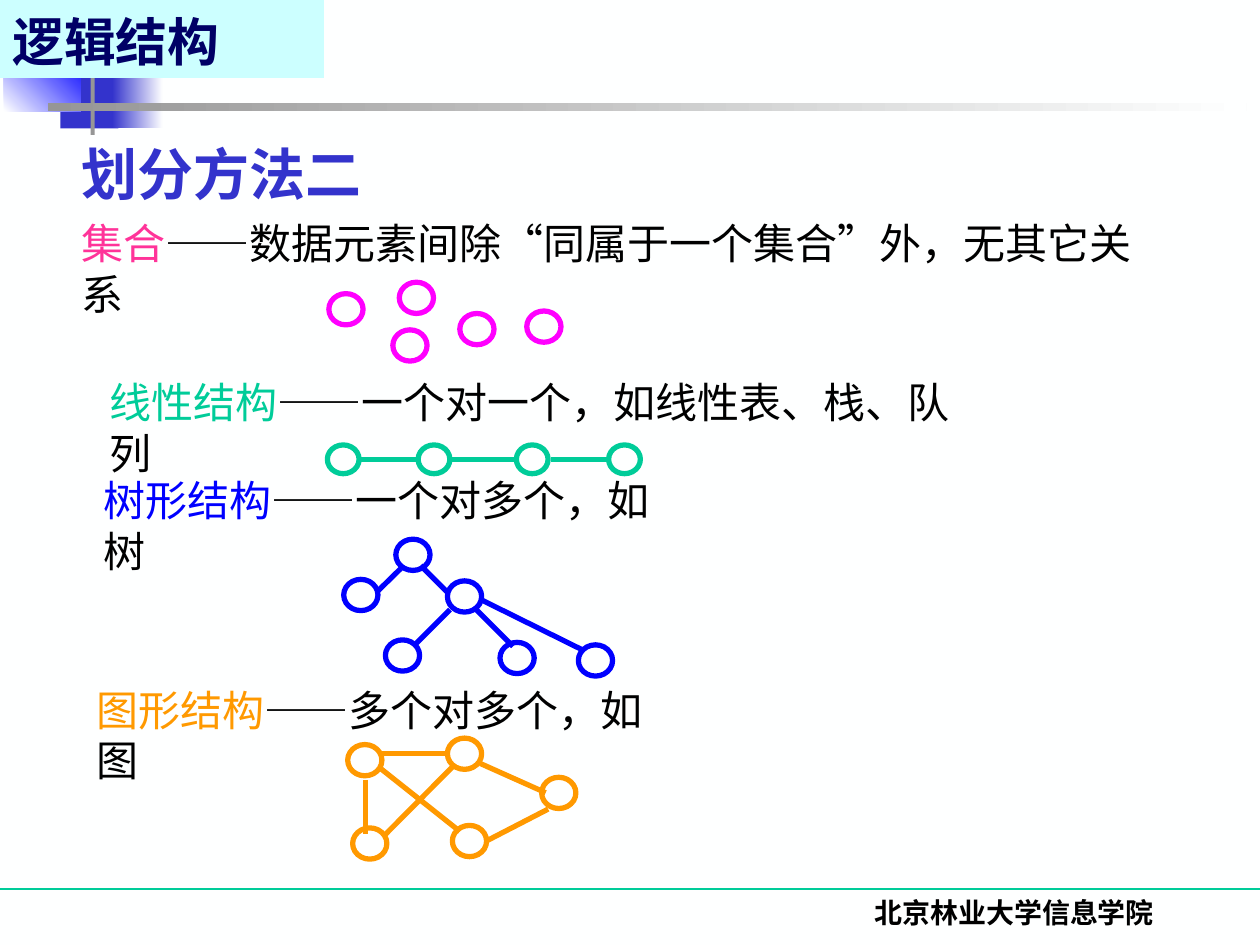
import pptx
import pptx.util
import pptx.dml.color
import pptx.enum.shapes
import pptx.enum.text
import lxml.etree

Cm = pptx.util.Cm
Pt = pptx.util.Pt
SHAPE = pptx.enum.shapes.MSO_SHAPE
A = "{http://schemas.openxmlformats.org/drawingml/2006/main}"


def rgb(value):
    return pptx.dml.color.RGBColor.from_string(value)


def add_run(p, text, size, color, bold=False, font="Times New Roman"):
    r = p.add_run()
    r.text = text
    r.font.size = Pt(size)
    r.font.bold = bold
    r.font.name = font
    r.font.color.rgb = rgb(color)
    ea = lxml.etree.SubElement(r.font._element, A + "ea")
    ea.set("typeface", "Noto Sans CJK SC")


prs = pptx.Presentation()
prs.slide_width, prs.slide_height = Cm(25.4), Cm(19.05)
s = prs.slides.add_slide(prs.slide_layouts[6])
s.background.fill.solid()
s.background.fill.fore_color.rgb = rgb("FEFFFF")

bars = [
    (1.22, 1.27, 1.17, 1.32, ["3333CC"], 0),
    (2.26, 1.27, 1.02, 1.32, ["3333CC", "FEFFFF"], 0),
    (0.08, 1.07, 1.55, 1.17, ["FEFFFF", "0000FF"], 45),
    (1.83, -0.2, 0.08, 2.92, ["969696"], 0),
    (0.97, 2.08, 24.16, 0.15, ["969696", "FEFFFF"], 0),
    (0, 0, 6.53, 1.57, ["CCFFFF"], 0),
]
for x, y, w, h, colors, angle in bars:
    sp = s.shapes.add_shape(SHAPE.RECTANGLE, Cm(x), Cm(y), Cm(w), Cm(h))
    sp.shadow.inherit = False
    sp.line.fill.background()
    if len(colors) == 1:
        sp.fill.solid()
        sp.fill.fore_color.rgb = rgb(colors[0])
    else:
        sp.fill.gradient()
        sp.fill.gradient_angle = angle
        for stop, color in zip(sp.fill.gradient_stops, colors):
            stop.color.rgb = rgb(color)

tf = sp.text_frame
tf.word_wrap = True
tf.vertical_anchor = pptx.enum.text.MSO_ANCHOR.BOTTOM
p = tf.paragraphs[0]
p.alignment = pptx.enum.text.PP_ALIGN.LEFT
add_run(p, "逻辑结构", 29.6, "000066", True)

diagrams = [
    ("FF00FF", 0.69, 0.63,
     [(6.63, 5.92), (8.05, 5.69), (7.92, 6.65), (9.27, 6.32), (10.62, 6.27)],
     []),
    ("00CC99", 0.64, 0.58,
     [(x, 8.97) for x in (6.6, 8.43, 10.41, 12.27)],
     [(a, 9.27, b, 9.27) for a, b in ((7.24, 8.41), (9.04, 10.41), (11.1, 12.24))]),
    ("0000FF", 0.69, 0.63,
     [(7.98, 10.87), (6.93, 11.68), (9.02, 11.71), (7.77, 12.9), (10.08, 12.95), (11.66, 13)],
     [(8.08, 11.46, 7.59, 11.94), (9.07, 12.29, 8.33, 13.03), (8.48, 11.4, 9.02, 11.94),
      (9.55, 12.24, 10.34, 13.03), (9.7, 12.09, 11.76, 13.11)]),
    ("FF9900", 0.69, 0.63,
     [(9.02, 14.88), (7.11, 16.69), (9.12, 16.64), (10.92, 15.67), (7.01, 15.01)],
     [(7.37, 15.72, 7.37, 16.81), (7.67, 15.49, 9.27, 16.76), (9.68, 15.39, 11, 15.98),
      (9.14, 15.44, 7.72, 16.87), (11.05, 16.31, 9.83, 16.94), (7.67, 15.19, 9.04, 15.19)]),
]
lines = [("00CC99", 0.75, (0, 17.92, 25.4, 17.92))]
for color, w, h, nodes, edges in diagrams:
    for x, y in nodes:
        sp = s.shapes.add_shape(SHAPE.OVAL, Cm(x), Cm(y), Cm(w), Cm(h))
        sp.shadow.inherit = False
        sp.fill.background()
        sp.line.color.rgb = rgb(color)
        sp.line.width = Pt(3)
    lines += [(color, 3, edge) for edge in edges]

for color, width, ends in lines:
    c = s.shapes.add_connector(pptx.enum.shapes.MSO_CONNECTOR.STRAIGHT, *map(Cm, ends))
    c.line.color.rgb = rgb(color)
    c.line.width = Pt(width)
    lxml.etree.SubElement(c._element.spPr, A + "effectLst")

entries = [
    (1.4, 4.27, 21.84, "集合", "FF3399", "数据元素间除“同属于一个集合”外，无其它关系"),
    (1.96, 7.47, 17.6, "线性结构", "00CC99", "一个对一个，如线性表、栈、队列"),
    (1.83, 9.45, 11.68, "树形结构", "0000FF", "一个对多个，如树"),
    (1.7, 13.67, 11.68, "图形结构", "FF9900", "多个对多个，如图"),
]
for x, y, w, term, color, meaning in entries:
    tf = s.shapes.add_textbox(Cm(x), Cm(y), Cm(w), Cm(1.27)).text_frame
    tf.word_wrap = True
    p = tf.paragraphs[0]
    add_run(p, term, 24, color)
    add_run(p, "——" + meaning, 24, "000000")

tf = s.shapes.add_textbox(Cm(1.4), Cm(2.69), Cm(6.4), Cm(1.63)).text_frame
tf.word_wrap = True
add_run(tf.paragraphs[0], "划分方法二", 32, "3333CC", True, "Noto Sans CJK SC")

tf = s.shapes.add_textbox(Cm(15.19), Cm(17.93), Cm(10.52), Cm(1.27)).text_frame
tf.word_wrap = True
p = tf.paragraphs[0]
p.alignment = pptx.enum.text.PP_ALIGN.CENTER
add_run(p, "北京林业大学信息学院", 16, "000000", True)

prs.save("out.pptx")
